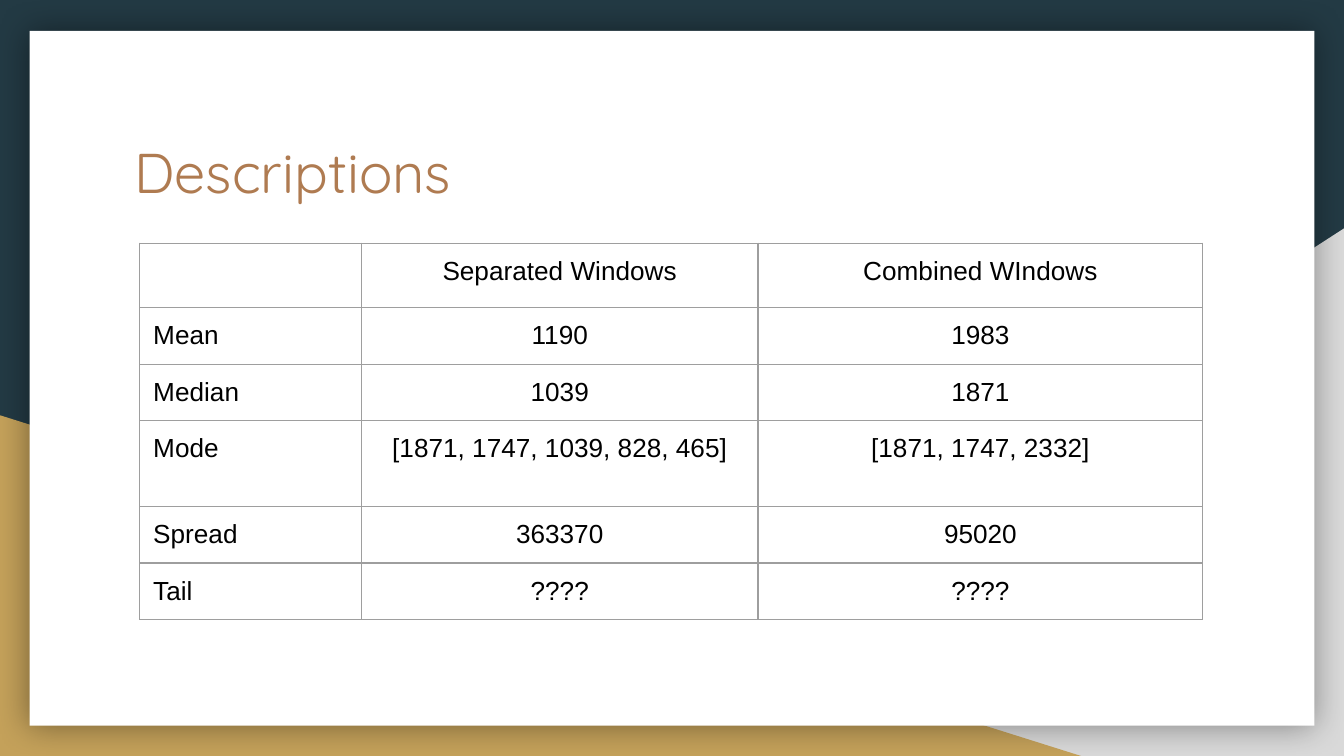
from dataclasses import dataclass

from lxml import etree
from pptx import Presentation
from pptx.dml.color import RGBColor as RGB
from pptx.enum.shapes import MSO_SHAPE as SHAPE
from pptx.enum.text import MSO_ANCHOR as ANCHOR, PP_ALIGN as ALIGN
from pptx.oxml import parse_xml
from pptx.oxml.ns import nsdecls, qn
from pptx.util import Inches, Pt


@dataclass(frozen=True)
class Theme:
    navy: str = "233A44"
    gray: str = "D9D9D9"
    gold: str = "C4A15A"
    white: str = "FFFFFF"
    copper: str = "AF7B51"
    black: str = "000000"
    border: str = "9E9E9E"
    title_font: str = "Quicksand"
    body_font: str = "Arial"
    title_size: int = 30
    body_size: int = 14
    border_width: float = 0.75
    inset: float = 0.1
    cell_bottom: float = 0.08


class SlideBuilder:
    def __init__(self, slide, theme):
        self.slide = slide
        self.theme = theme

    def background(self, color):
        fill = self.slide.background.fill
        fill.solid()
        fill.fore_color.rgb = RGB.from_string(color)

    def shape(self, kind, box, color, flip=False):
        sp = self.slide.shapes.add_shape(kind, *map(Inches, box))
        sp.shadow.inherit = False
        sp.fill.solid()
        sp.fill.fore_color.rgb = RGB.from_string(color)
        sp.line.fill.background()
        if flip:
            sp._element.spPr.find(qn("a:xfrm")).set("flipH", "1")
        return sp

    def glow_shadow(self, sp, color, blur, alpha):
        effects = sp._element.spPr.find(qn("a:effectLst"))
        effects.append(parse_xml(
            f'<a:outerShdw {nsdecls("a")} blurRad="{Pt(blur)}" dist="0" dir="0" '
            f'algn="ctr" rotWithShape="0"><a:srgbClr val="{color}">'
            f'<a:alpha val="{alpha * 1000}"/></a:srgbClr></a:outerShdw>'))

    def style(self, p, font, size, color, align=ALIGN.LEFT):
        p.alignment = align
        p.font.name = font
        p.font.size = Pt(size)
        p.font.color.rgb = RGB.from_string(color)

    def margins(self, holder):
        for side in ("left", "top", "right", "bottom"):
            setattr(holder, f"margin_{side}", Inches(self.theme.inset))

    def title(self, text, box):
        t = self.theme
        tf = self.slide.shapes.add_textbox(*map(Inches, box)).text_frame
        tf.word_wrap = True
        tf.vertical_anchor = ANCHOR.TOP
        self.margins(tf)
        p = tf.paragraphs[0]
        p.text = text
        self.style(p, t.title_font, t.title_size, t.copper)

    def cell_borders(self, cell):
        t = self.theme
        tcPr = cell._tc.get_or_add_tcPr()
        for i, side in enumerate(("lnL", "lnR", "lnT", "lnB")):
            ln = etree.Element(qn(f"a:{side}"), w=str(Pt(t.border_width)))
            fill = etree.SubElement(ln, qn("a:solidFill"))
            etree.SubElement(fill, qn("a:srgbClr"), val=t.border)
            tcPr.insert(i, ln)

    def table(self, rows, left, top, widths, heights):
        t = self.theme
        table = self.slide.shapes.add_table(
            len(rows), len(widths), Inches(left), Inches(top),
            Inches(sum(widths)), Inches(sum(heights))).table
        table.first_row = False
        table.horz_banding = False
        for column, width in zip(table.columns, widths):
            column.width = Inches(width)
        for row, height, texts in zip(table.rows, heights, rows):
            row.height = Inches(height)
            for i, (cell, text) in enumerate(zip(row.cells, texts)):
                self.margins(cell)
                cell.margin_bottom = Inches(t.cell_bottom)
                cell.fill.background()
                self.cell_borders(cell)
                p = cell.text_frame.paragraphs[0]
                p.text = text
                align = ALIGN.CENTER if i else ALIGN.LEFT
                self.style(p, t.body_font, t.body_size, t.black, align)


def main():
    prs = Presentation()
    prs.slide_width = Inches(10)
    prs.slide_height = prs.slide_width * 9 // 16
    theme = Theme()
    s = SlideBuilder(prs.slides.add_slide(prs.slide_layouts[6]), theme)

    s.background(theme.navy)
    s.shape(SHAPE.RIGHT_TRIANGLE, (3.92, 1.7, 6.08, 3.93), theme.gray, flip=True)
    s.shape(SHAPE.RIGHT_TRIANGLE, (0, 3.09, 8.06, 2.54), theme.gold)
    card = s.shape(SHAPE.RECTANGLE, (0.22, 0.23, 9.56, 5.17), theme.white)
    s.glow_shadow(card, theme.black, blur=18, alpha=40)

    s.title("Descriptions", (0.9, 0.92, 8.21, 1.04))
    rows = [
        ("", "Separated Windows", "Combined WIndows"),
        ("Mean", "1190", "1983"),
        ("Median", "1039", "1871"),
        ("Mode", "[1871, 1747, 1039, 828, 465]", "[1871, 1747, 2332]"),
        ("Spread", "363370", "95020"),
        ("Tail", "????", "????"),
    ]
    s.table(rows, 1.04, 1.81, widths=(1.65, 2.95, 3.31),
            heights=(0.48, 0.42, 0.42, 0.64, 0.42, 0.42))
    prs.save("out.pptx")


if __name__ == "__main__":
    main()
